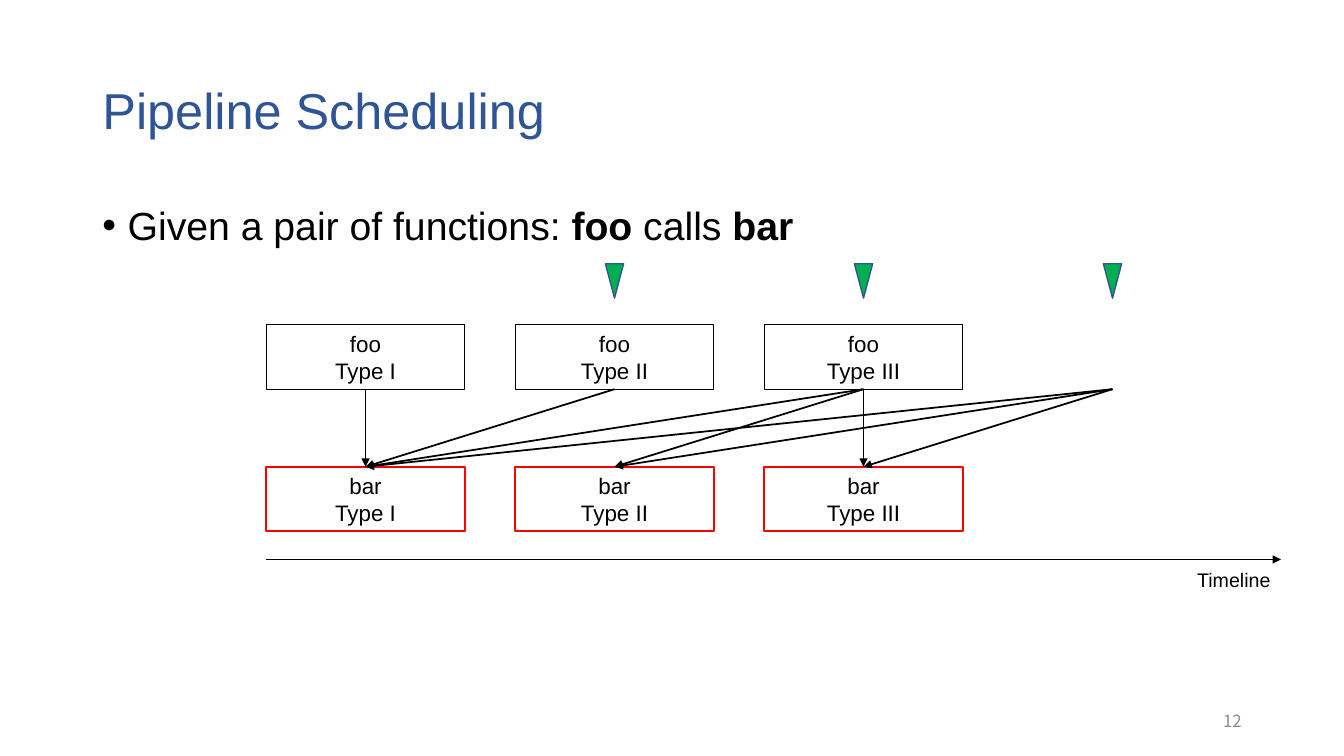
from lxml.etree import SubElement
from pptx import Presentation
from pptx.dml.color import RGBColor
from pptx.enum.shapes import MSO_CONNECTOR, MSO_SHAPE
from pptx.enum.text import MSO_ANCHOR, MSO_AUTO_SIZE, PP_ALIGN
from pptx.oxml.ns import qn
from pptx.util import Pt

COLORS = {
    "title": "2F5597",
    "text": "000000",
    "number": "8C8C8C",
    "call": "FF0000",
    "marker": "00B050",
    "marker_edge": "325491",
}


def rgb(name):
    return RGBColor.from_string(COLORS[name])


def write(frame, text, size=16, color="text", font="Arial", bold=False,
          align=PP_ALIGN.LEFT):
    """Append text to the last paragraph; each newline starts another one."""
    for index, line in enumerate(text.split("\n")):
        paragraph = frame.add_paragraph() if index else frame.paragraphs[-1]
        paragraph.alignment = align
        run = paragraph.add_run()
        run.text = line
        run.font.name = font
        run.font.size = Pt(size)
        run.font.bold = bold
        run.font.color.rgb = rgb(color)


class SlideBuilder:
    def __init__(self, slide):
        self.slide = slide

    def placeholder(self, index, left, top, width, height, anchor):
        shape = self.slide.placeholders[index]
        shape.left, shape.top = Pt(left), Pt(top)
        shape.width, shape.height = Pt(width), Pt(height)
        frame = shape.text_frame
        frame.auto_size = MSO_AUTO_SIZE.NONE
        frame.vertical_anchor = anchor
        frame.paragraphs[0].line_spacing = 0.9
        frame.paragraphs[0].space_before = Pt(0)
        return frame

    def bullet(self, paragraph, indent):
        properties = paragraph._p.get_or_add_pPr()
        properties.set("marL", str(Pt(indent)))
        properties.set("indent", str(-Pt(indent)))
        SubElement(properties, qn("a:buFont"), typeface="Arial")
        SubElement(properties, qn("a:buChar"), char="•")

    def label(self, text, left, top, width, height, wrap=True, **style):
        box = self.slide.shapes.add_textbox(Pt(left), Pt(top), Pt(width), Pt(height))
        box.text_frame.word_wrap = wrap
        box.text_frame.vertical_anchor = MSO_ANCHOR.MIDDLE
        write(box.text_frame, text, **style)

    def shape(self, kind, left, top, width, height, line, weight, fill=None):
        shape = self.slide.shapes.add_shape(
            kind, Pt(left), Pt(top), Pt(width), Pt(height))
        shape.shadow.inherit = False
        shape.line.color.rgb = rgb(line)
        shape.line.width = Pt(weight)
        if fill:
            shape.fill.solid()
            shape.fill.fore_color.rgb = rgb(fill)
        else:
            shape.fill.background()
        return shape

    def box(self, text, left, top, width, height, line, weight):
        shape = self.shape(MSO_SHAPE.RECTANGLE, left, top, width, height, line, weight)
        shape.text_frame.word_wrap = False
        write(shape.text_frame, text, align=PP_ALIGN.CENTER)
        return shape

    def arrow(self, start, end, source=None, target=None):
        """Draw an arrow, joined to a source's bottom and a target's top."""
        connector = self.slide.shapes.add_connector(
            MSO_CONNECTOR.STRAIGHT, *map(Pt, start + end))
        connector.line.color.rgb = rgb("text")
        connector.line.width = Pt(1.25)
        SubElement(connector.line._get_or_add_ln(), qn("a:tailEnd"), type="triangle")
        SubElement(connector._element.spPr, qn("a:effectLst"))
        if source is not None:
            connector.begin_connect(source, 2)
        if target is not None:
            connector.end_connect(target, 0)


def main():
    presentation = Presentation()
    presentation.slide_width, presentation.slide_height = Pt(960), Pt(540)
    slide = presentation.slides.add_slide(presentation.slide_layouts[1])
    builder = SlideBuilder(slide)

    # Title, list and slide number
    title = builder.placeholder(0, 66, 28.75, 828, 104.4, MSO_ANCHOR.MIDDLE)
    write(title, "Pipeline Scheduling", size=36, color="title")
    body = builder.placeholder(1, 66, 143.75, 828, 342.6, MSO_ANCHOR.TOP)
    builder.bullet(body.paragraphs[0], 18)
    for text, bold in (("Given a pair of functions: ", False), ("foo", True),
                       (" calls ", False), ("bar", True)):
        write(body, text, size=28, bold=bold)
    builder.label("12", 678, 500.5, 216, 28.75, size=12, color="number",
                  font="Noto Sans CJK SC", align=PP_ALIGN.RIGHT)

    # Columns of callers and callees
    left, step, width, height = 190.1, 177.85, 142, 46
    foo_top, bar_top = 232, 333.4
    columns = [left + step * index for index in range(4)]
    centers = [column + width / 2 for column in columns]
    foos, bars = [], []
    for column, kind in zip(columns, ("I", "II", "III")):
        foos.append(builder.box(f"foo\nType {kind}", column, foo_top,
                                width, height, "text", 0.75))
        bars.append(builder.box(f"bar\nType {kind}", column, bar_top,
                                width, height, "call", 1.5))

    # Calls; the last column has no caller box
    calls = ((0, 0), (1, 0), (2, 2), (2, 1), (2, 0), (3, 0), (3, 1), (3, 2))
    for caller, callee in calls:
        builder.arrow((centers[caller], foo_top + height),
                      (centers[callee], bar_top),
                      foos[caller] if caller < len(foos) else None,
                      bars[callee])

    # Timeline
    builder.arrow((left, 399.6), (915, 399.6))
    builder.label("Timeline", 848, 402, 67, 24.2, wrap=False, size=14)

    # Markers above the later columns
    for center in centers[1:]:
        marker = builder.shape(MSO_SHAPE.ISOSCELES_TRIANGLE, center - 6.5, 188.4,
                               13, 24.5, "marker_edge", 1, "marker")
        marker.rotation = 180

    presentation.save("out.pptx")


if __name__ == "__main__":
    main()
